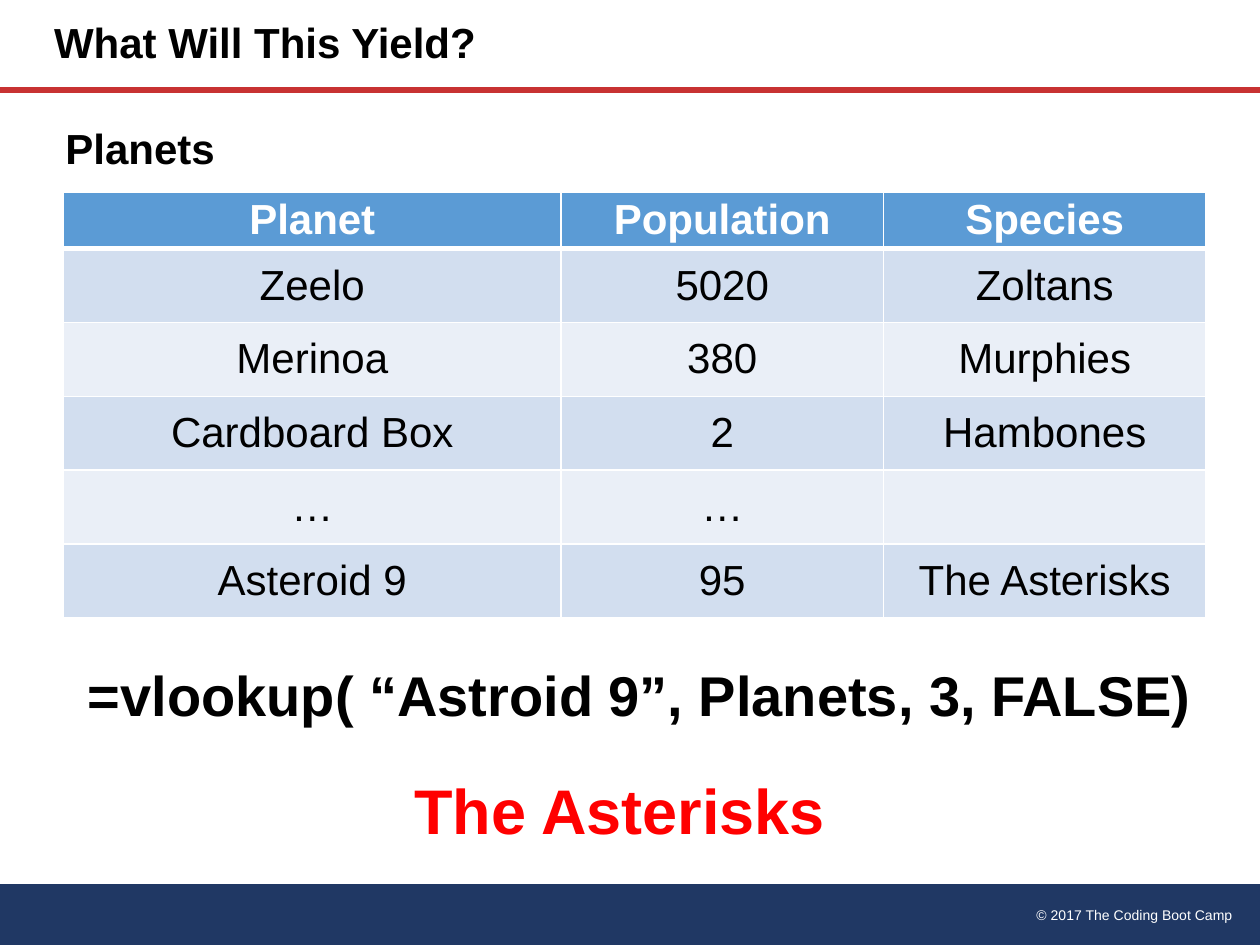
from typing import NamedTuple

from lxml import etree
from pptx import Presentation
from pptx import util as u
from pptx.dml.color import RGBColor
from pptx.enum import shapes, text
from pptx.oxml import ns

FONT = "Arial"
BLACK = RGBColor(0x00, 0x00, 0x00)
WHITE = RGBColor(0xFF, 0xFF, 0xFF)
ANSWER_RED = RGBColor(0xFF, 0x00, 0x00)
RULE_RED = RGBColor(0xC8, 0x32, 0x32)
NAVY = RGBColor(0x20, 0x38, 0x64)
HEADER_BLUE = RGBColor(0x5B, 0x9B, 0xD5)
BANDS = (RGBColor(0xD2, 0xDE, 0xEF), RGBColor(0xEA, 0xEF, 0xF7))

LEFT, CENTER, RIGHT = text.PP_ALIGN.LEFT, text.PP_ALIGN.CENTER, text.PP_ALIGN.RIGHT
MIDDLE = text.MSO_ANCHOR.MIDDLE
COLUMN_WIDTHS = (10.03, 6.5, 6.5)
HEADER_HEIGHT, ROW_HEIGHT = 1.14, 1.49
PLANETS = (
    ("Planet", "Population", "Species"),
    ("Zeelo", "5020", "Zoltans"),
    ("Merinoa", "380", "Murphies"),
    ("Cardboard Box", "2", "Hambones"),
    ("…", "…", ""),
    ("Asteroid 9", "95", "The Asterisks"),
)


class Label(NamedTuple):
    wording: str
    left: float
    top: float
    width: float
    height: float
    size: float
    align: text.PP_ALIGN = LEFT
    color: RGBColor = BLACK
    bold: bool = True
    anchor: text.MSO_ANCHOR = MIDDLE
    spacing: float = 0.9


LABELS = (
    Label("© 2017 The Coding Boot Camp", 17.35, 18.16, 7.75, 0.61, 8, RIGHT, WHITE,
          False, text.MSO_ANCHOR.TOP, 1.0),
    Label("What Will This Yield?", 0.84, 0, 15.19, 1.83, 24),
    Label("=vlookup( “Astroid 9”, Planets, 3, FALSE)", 0.84, 13.16, 24.13, 1.85, 32, CENTER),
    Label("Planets", 1.07, 2.11, 24.13, 1.85, 24),
    Label("The Asterisks", 0.43, 15.49, 24.13, 1.85, 36, CENTER, ANSWER_RED),
)


def style_runs(paragraph, size: float, color: RGBColor, bold: bool) -> None:
    """Format every run of a paragraph."""
    for run in paragraph.runs:
        run.font.name = FONT
        run.font.size = u.Pt(size)
        run.font.bold = bold
        run.font.color.rgb = color


def add_label(slide, label: Label) -> None:
    """Place one text box."""
    box = slide.shapes.add_textbox(u.Cm(label.left), u.Cm(label.top),
                                   u.Cm(label.width), u.Cm(label.height))
    frame = box.text_frame
    frame.word_wrap = True
    frame.vertical_anchor = label.anchor
    frame.text = label.wording
    paragraph = frame.paragraphs[0]
    paragraph.alignment = label.align
    paragraph.line_spacing = label.spacing
    style_runs(paragraph, label.size, label.color, label.bold)


def add_border(cell, side: str, points: float) -> None:
    """Draw a white border on one side of a cell."""
    line = etree.SubElement(cell._tc.get_or_add_tcPr(), ns.qn(f"a:ln{side}"),
                            w=str(u.Pt(points)))
    fill = etree.SubElement(line, ns.qn("a:solidFill"))
    etree.SubElement(fill, ns.qn("a:srgbClr"), val=str(WHITE))


def add_planet_table(slide) -> None:
    """Build the table of planets with a header and banded rows."""
    heights = [HEADER_HEIGHT] + [ROW_HEIGHT] * (len(PLANETS) - 1)
    table = slide.shapes.add_table(
        len(PLANETS), len(COLUMN_WIDTHS), u.Cm(1.28), u.Cm(3.87),
        u.Cm(sum(COLUMN_WIDTHS)), u.Cm(sum(heights))).table
    for column, width in zip(table.columns, COLUMN_WIDTHS):
        column.width = u.Cm(width)
    for index, (row, height, values) in enumerate(zip(table.rows, heights, PLANETS)):
        row.height = u.Cm(height)
        header = index == 0
        for cell, value in zip(row.cells, values):
            for side in "LRTB":
                thick = (header and side == "B") or (index == 1 and side == "T")
                add_border(cell, side, 3 if thick else 1)
            cell.fill.solid()
            cell.fill.fore_color.rgb = HEADER_BLUE if header else BANDS[(index - 1) % 2]
            cell.vertical_anchor = MIDDLE
            cell.margin_top = cell.margin_bottom = u.Cm(0.08)
            cell.text_frame.text = value
            paragraph = cell.text_frame.paragraphs[0]
            paragraph.alignment = CENTER
            style_runs(paragraph, 24, WHITE if header else BLACK, header)


def add_frame(slide, slide_width: int) -> None:
    """Draw the footer band and the rule under the title."""
    footer = slide.shapes.add_shape(shapes.MSO_SHAPE.FLOWCHART_PROCESS, 0, u.Cm(17.83),
                                    slide_width, u.Cm(1.27))
    footer.shadow.inherit = False
    footer.fill.solid()
    footer.fill.fore_color.rgb = NAVY
    footer.line.fill.background()
    rule = slide.shapes.add_connector(shapes.MSO_CONNECTOR.STRAIGHT, 0, u.Cm(1.82),
                                      slide_width, u.Cm(1.82))
    rule.line.color.rgb = RULE_RED
    rule.line.width = u.Pt(3.25)
    etree.SubElement(rule._element.spPr, ns.qn("a:effectLst"))


def main() -> None:
    """Build and save the lookup quiz slide."""
    deck = Presentation()
    deck.slide_width, deck.slide_height = u.Cm(25.4), u.Cm(19.05)
    slide = deck.slides.add_slide(deck.slide_layouts[6])
    add_frame(slide, deck.slide_width)
    add_planet_table(slide)
    for label in LABELS:
        add_label(slide, label)
    deck.save("out.pptx")


if __name__ == "__main__":
    main()
